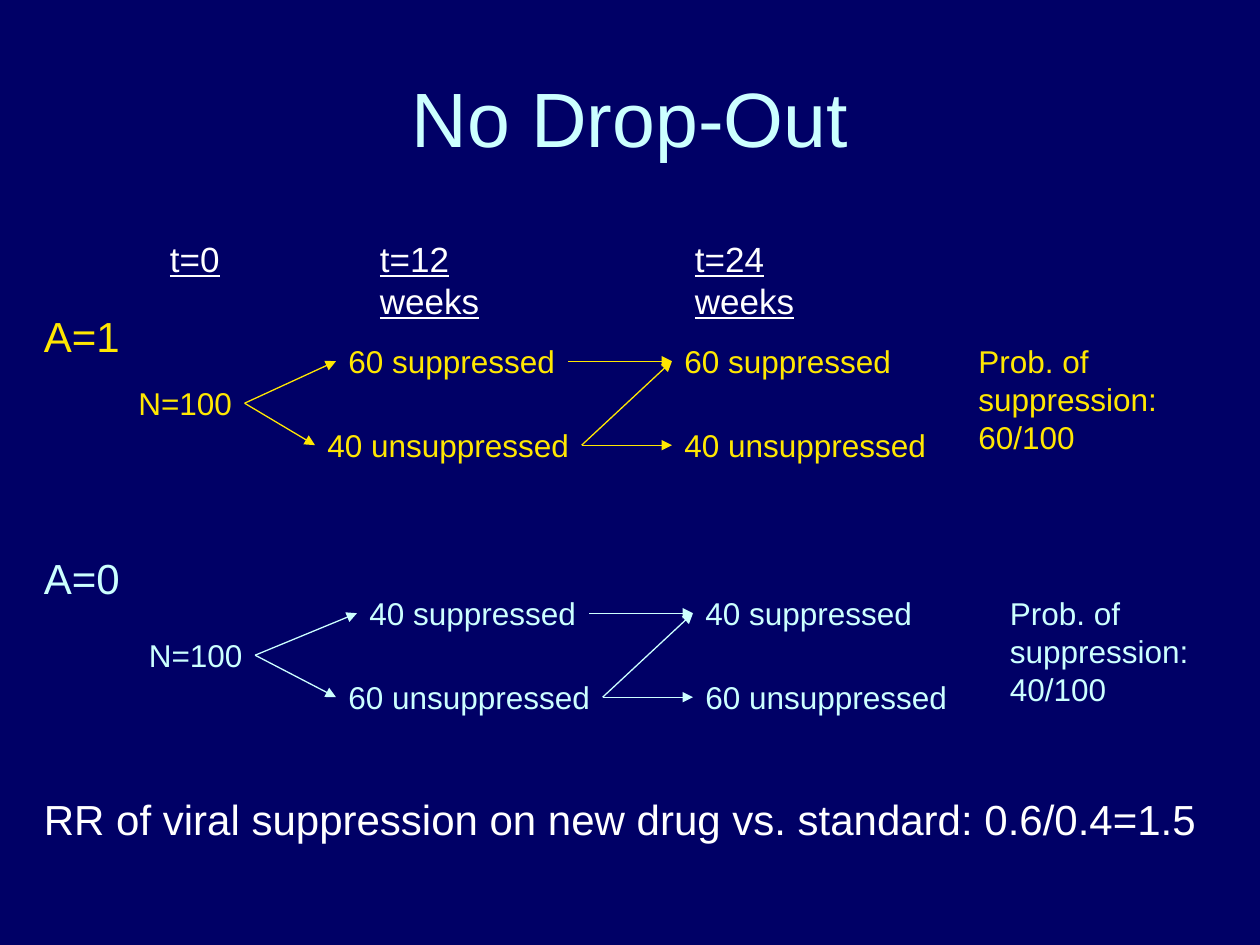
from dataclasses import dataclass

import pptx
import pptx.dml.color
import pptx.enum.shapes
import pptx.enum.text
import pptx.oxml
import pptx.oxml.ns
import pptx.presentation
import pptx.shapes.autoshape
import pptx.slide
import pptx.text.text
import pptx.util

COLORS = {
    "background": "000066",
    "new_drug": "FFE701",
    "standard": "CCFFFF",
    "plain": "FFFFFF",
}
FONT = "Arial"
UNIT = pptx.util.Inches(10) // 120
TITLE_LAYOUT = 5


@dataclass(frozen=True)
class Label:
    text: str
    column: float
    row: float
    columns: float
    rows: float
    size: int
    color: str
    underline: bool = False


@dataclass(frozen=True)
class Arm:
    name: str
    color: str
    suppressed: int
    name_row: float
    top_row: float
    start_column: float
    week_12_columns: tuple[float, float]
    week_24_column: float
    result_column: float


HEADINGS = [
    Label("t=0 ", 15, 22, 8, 5.3, 20, "plain", True),
    Label("t=12 weeks", 35, 22, 19.3, 5.3, 20, "plain", True),
    Label("t=24 weeks", 65, 22, 19.3, 5.3, 20, "plain", True),
]
CONCLUSION = Label(
    "RR of viral suppression on new drug vs. standard: 0.6/0.4=1.5",
    3, 75, 112.1, 6, 24, "plain",
)
ARMS = [
    Arm("A=1", "new_drug", 60, 29, 32, 12, (32, 30), 64, 92),
    Arm("A=0", "standard", 40, 52, 56, 13, (34, 32), 66, 95),
]


def grid(units: float) -> int:
    return round(units * UNIT)


def rgb(color: str) -> pptx.dml.color.RGBColor:
    return pptx.dml.color.RGBColor.from_string(COLORS[color])


def style_paragraph(
    paragraph: pptx.text.text._Paragraph, size: int, color: str, underline: bool = False
) -> None:
    paragraph.font.name = FONT
    paragraph.font.size = pptx.util.Pt(size)
    paragraph.font.color.rgb = rgb(color)
    if underline:
        paragraph.font.underline = True


def add_label(slide: pptx.slide.Slide, label: Label) -> pptx.shapes.autoshape.Shape:
    shape = slide.shapes.add_textbox(
        grid(label.column), grid(label.row), grid(label.columns), grid(label.rows)
    )
    frame = shape.text_frame
    frame.text = label.text
    frame.word_wrap = False
    frame.auto_size = pptx.enum.text.MSO_AUTO_SIZE.SHAPE_TO_FIT_TEXT
    for paragraph in frame.paragraphs:
        style_paragraph(paragraph, label.size, label.color, label.underline)
    return shape


def add_arrow(
    slide: pptx.slide.Slide,
    source: pptx.shapes.autoshape.Shape,
    target: pptx.shapes.autoshape.Shape,
    color: str,
) -> None:
    connector = slide.shapes.add_connector(
        pptx.enum.shapes.MSO_CONNECTOR.STRAIGHT,
        source.left + source.width,
        source.top + source.height // 2,
        target.left,
        target.top + target.height // 2,
    )
    connector.line.color.rgb = rgb(color)
    connector.line.width = pptx.util.Pt(0.75)
    line = connector.line._get_or_add_ln()
    line.append(pptx.oxml.parse_xml(
        f'<a:tailEnd {pptx.oxml.ns.nsdecls("a")} type="triangle"/>'
    ))
    line.addnext(pptx.oxml.parse_xml(f'<a:effectLst {pptx.oxml.ns.nsdecls("a")}/>'))


def add_arm(slide: pptx.slide.Slide, arm: Arm) -> None:
    def node(text: str, column: float, row: float, columns: float, rows: float = 4.8):
        return add_label(
            slide,
            Label(text, column, arm.top_row + row, columns, rows, 18, arm.color),
        )

    add_label(slide, Label(arm.name, 3, arm.name_row, 9.6, 6, 24, arm.color))
    suppressed = f"{arm.suppressed} suppressed"
    unsuppressed = f"{100 - arm.suppressed} unsuppressed"
    upper_column, lower_column = arm.week_12_columns

    start = node("N=100", arm.start_column, 4, 11.3)
    upper_12 = node(suppressed, upper_column, 0, 22.1)
    lower_12 = node(unsuppressed, lower_column, 8, 25.4)
    upper_24 = node(suppressed, arm.week_24_column, 0, 22.1)
    lower_24 = node(unsuppressed, arm.week_24_column, 8, 25.4)
    node(f"Prob. of\nsuppression:\n{arm.suppressed}/100", arm.result_column, 0, 20.2, 12)

    for source, target in [
        (start, upper_12),
        (start, lower_12),
        (upper_12, upper_24),
        (lower_12, upper_24),
        (lower_12, lower_24),
    ]:
        add_arrow(slide, source, target, arm.color)


def add_title(slide: pptx.slide.Slide, text: str) -> None:
    title = slide.shapes.title
    title.left, title.top = grid(6), grid(3.6)
    title.width, title.height = grid(108), grid(15)
    title.text_frame.text = text
    title.text_frame.vertical_anchor = pptx.enum.text.MSO_ANCHOR.MIDDLE
    paragraph = title.text_frame.paragraphs[0]
    paragraph.alignment = pptx.enum.text.PP_ALIGN.CENTER
    style_paragraph(paragraph, 44, "standard")


def main() -> None:
    presentation = pptx.Presentation()
    presentation.slide_width = grid(120)
    presentation.slide_height = grid(90)
    slide = presentation.slides.add_slide(presentation.slide_layouts[TITLE_LAYOUT])
    slide.background.fill.solid()
    slide.background.fill.fore_color.rgb = rgb("background")

    add_title(slide, "No Drop-Out")
    for label in [*HEADINGS, CONCLUSION]:
        add_label(slide, label)
    for arm in ARMS:
        add_arm(slide, arm)
    presentation.save("out.pptx")


if __name__ == "__main__":
    main()
